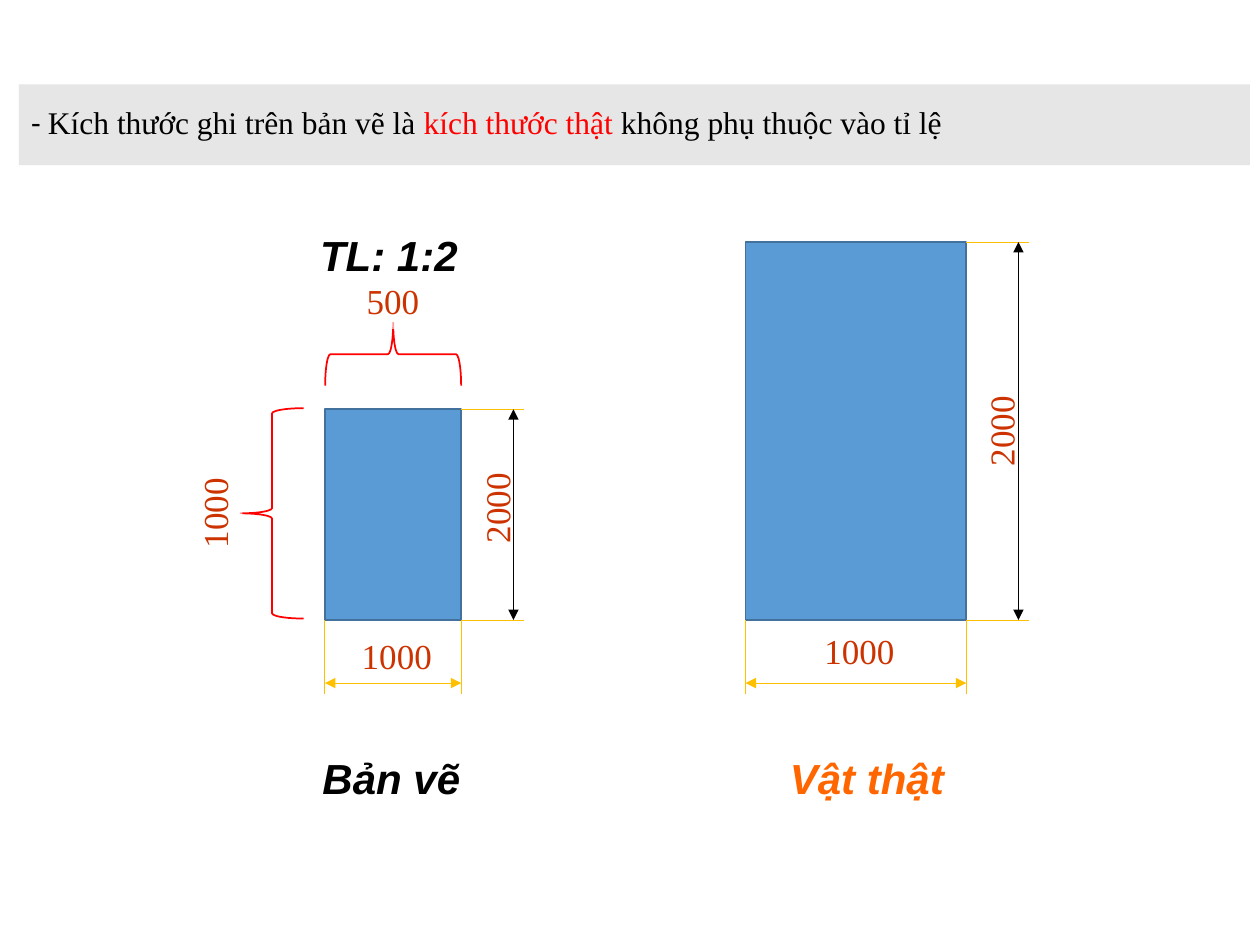
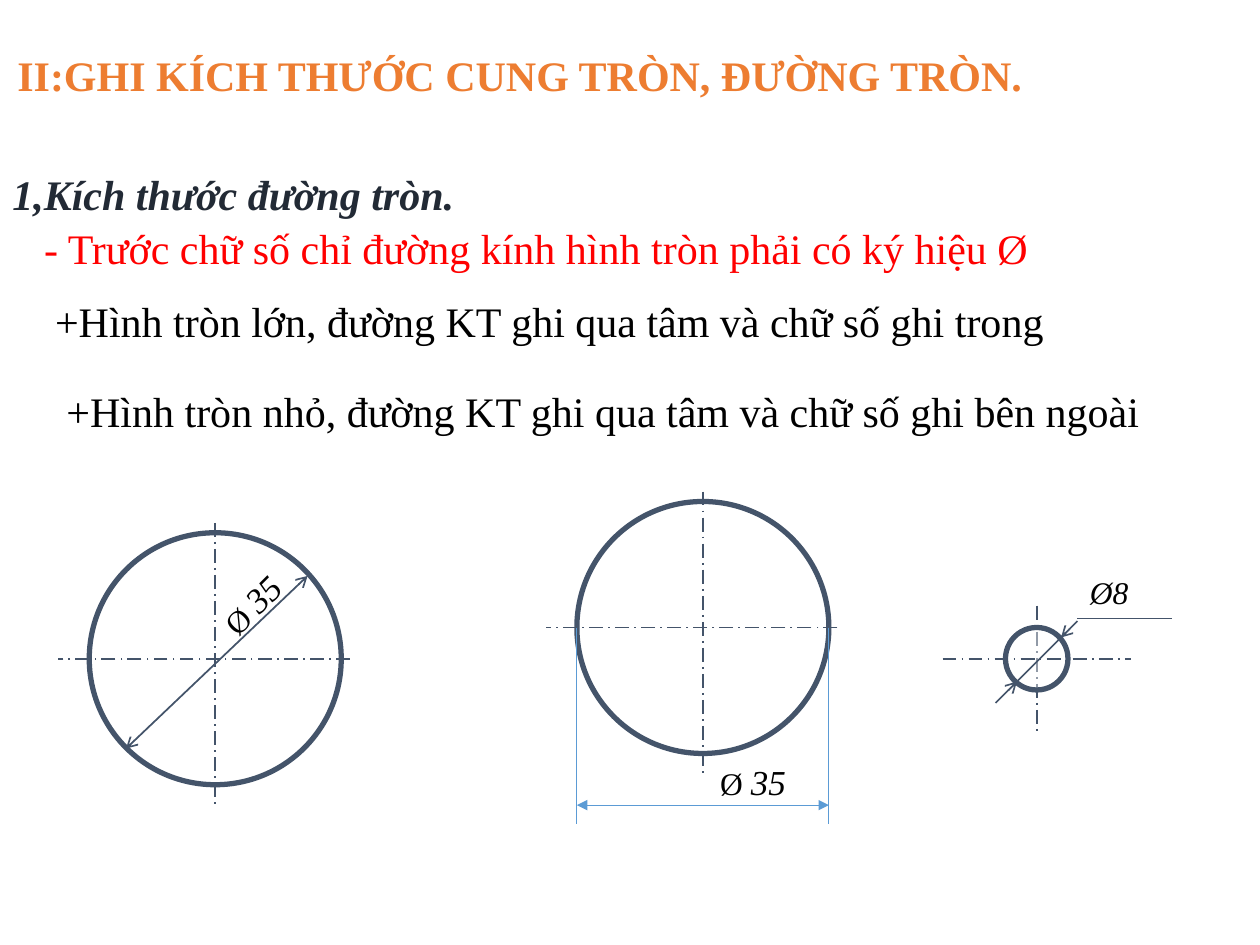
"""Two slides on dimensioning: real sizes against scale, and circle diameters."""
from lxml.etree import SubElement
from pptx import Presentation
from pptx.dml.color import RGBColor
from pptx.enum.dml import MSO_LINE as Dash
from pptx.enum.shapes import MSO_CONNECTOR as Connector, MSO_SHAPE as Preset
from pptx.enum.text import MSO_ANCHOR as Anchor, PP_ALIGN as Align
from pptx.oxml.ns import qn
from pptx.util import Cm, Pt

SERIF, SANS = "Times New Roman", "Arial"
BLACK, WHITE, RED, BAND = "000000", "FFFFFF", "FF0000", "E7E6E6"
STEEL, STEEL_EDGE, GOLD, RUST = "5B9BD5", "41719C", "FFC000", "CC3300"
SLATE, NAVY, ORANGE, AMBER = "44546A", "222A35", "ED7D31", "FF6600"

RULE = [
    ("- ", {"font": "Calibri"}),
    ("Kích thước ghi trên bản vẽ là ", {}),
    ("kích thước thật ", {"color": RED}),
    ("không phụ thuộc vào tỉ lệ", {}),
]
RECTANGLES = [(6.55, 8.25, 2.75, 4.25), (15.03, 4.88, 4.45, 7.62)]
SIZES = [
    ("1000", (6.91, 12.67, 2.18, 1.12), 0),
    ("2000", (9.04, 9.68, 1.96, 1.12), 270),
    ("2000", (19.13, 8.13, 2.11, 1.12), 270),
    ("1000", (16.31, 12.57, 2.03, 1.12), 0),
    ("500", (6.83, 5.51, 2.18, 1.12), 0),
    ("1000", (3.35, 9.78, 1.96, 1.12), 270),
]
BRACES = [((7.29, 5.77, 1.27, 2.74), 90), ((4.85, 8.23, 1.27, 4.24), 0)]
CAPTIONS = [
    ("Vật thật", (15.67, 15.04, 3.61, 1.27), AMBER),
    ("Bản vẽ", (6.25, 15.04, 3.28, 1.27), BLACK),
    ("TL: 1:2", (5.77, 4.5, 4.14, 1.27), BLACK),
]

HEADING = "II:GHI KÍCH THƯỚC CUNG TRÒN, ĐƯỜNG TRÒN."
STATEMENTS = [
    ("1,Kích thước đường tròn.", (0, 3.28, 22.78, 1.27),
     {"color": NAVY, "bold": True, "italic": True}),
    ("- Trước chữ số chỉ đường kính hình tròn phải có ký hiệu Ø",
     (0.64, 4.37, 23.5, 1.27), {"color": RED}),
    ("+Hình tròn lớn, đường KT ghi qua tâm và chữ số ghi trong",
     (0.86, 5.84, 22.02, 1.27), {}),
    ("+Hình tròn nhỏ, đường KT ghi qua tâm và chữ số ghi bên ngoài",
     (1.09, 7.65, 23.09, 1.27), {}),
]
BIG_RADIUS, SMALL_RADIUS = 2.54, 0.63
INSIDE, OUTSIDE, SMALL = (4.34, 13.28), (14.17, 12.65), (20.9, 13.28)
DIAMETER = [("Ø ", {"size": 18}), ("35", {"size": 20, "italic": True})]
DIAMETER_BOXES = [((4.06, 11.38, 2.54, 1.12), 315), ((14.27, 15.21, 2.54, 1.12), 0)]
SMALL_LEADER = [
    ((20.5, 13.74), (21.49, 12.75), {}),
    ((21.39, 12.85), (21.72, 12.52), {"head": "arrow"}),
    ((20.07, 14.17), (20.5, 13.74), {"tail": "arrow"}),
    ((21.72, 12.47), (23.62, 12.47), {}),
]


def rgb(color):
    return RGBColor.from_string(color)


def add_text(shape, text, size=24, font=SERIF, color=BLACK, bold=False, italic=False,
             align=Align.LEFT, anchor=Anchor.TOP, wrap=True, spacing=1.0):
    frame = shape.text_frame
    frame.word_wrap, frame.vertical_anchor = wrap, anchor
    paragraph = frame.paragraphs[0]
    paragraph.alignment, paragraph.line_spacing = align, spacing
    base = {"size": size, "font": font, "color": color, "bold": bold, "italic": italic}
    for words, changes in [(text, {})] if isinstance(text, str) else text:
        look = {**base, **changes}
        run = paragraph.add_run()
        run.text = words
        run.font.size, run.font.name = Pt(look["size"]), look["font"]
        run.font.bold, run.font.italic = look["bold"], look["italic"]
        run.font.color.rgb = rgb(look["color"])


def add_box(slide, box, text, rotation=0, **look):
    shape = slide.shapes.add_textbox(*map(Cm, box))
    shape.rotation = rotation
    add_text(shape, text, **look)


def add_preset(slide, preset, box, fill=None, opacity=100, line=None, width=1, rotation=0):
    shape = slide.shapes.add_shape(preset, *map(Cm, box))
    shape.shadow.inherit = False
    shape.rotation = rotation
    if fill:
        shape.fill.solid()
        shape.fill.fore_color.rgb = rgb(fill)
        if opacity < 100:
            fill_color = shape._element.spPr.find(qn("a:solidFill"))[0]
            SubElement(fill_color, qn("a:alpha"), val=str(opacity * 1000))
    else:
        shape.fill.background()
    if line:
        shape.line.color.rgb, shape.line.width = rgb(line), Pt(width)
    else:
        shape.line.fill.background()
    return shape


def add_line(slide, start, end, color=SLATE, width=1, dash=None, head=None, tail=None):
    connector = slide.shapes.add_connector(Connector.STRAIGHT, *map(Cm, (*start, *end)))
    connector.line.color.rgb, connector.line.width = rgb(color), Pt(width)
    if dash:
        connector.line.dash_style = dash
    properties = connector._element.spPr
    for tag, kind in (("a:headEnd", head), ("a:tailEnd", tail)):
        if kind:
            SubElement(properties.find(qn("a:ln")), qn(tag), type=kind)
    SubElement(properties, qn("a:effectLst"))


def add_dimension(slide, start, end, color):
    add_line(slide, start, end, color, 0.5, head="triangle", tail="triangle")


def add_rectangle_dimensions(slide, left, top, width, height):
    right, bottom = left + width, top + height
    for y in (top, bottom):
        add_line(slide, (right, y), (right + 1.27, y), GOLD, 0.5)
    for x in (left, right):
        add_line(slide, (x, bottom), (x, bottom + 1.49), GOLD, 0.5)
    add_dimension(slide, (right + 1.05, top), (right + 1.05, bottom), BLACK)
    add_dimension(slide, (left, bottom + 1.27), (right, bottom + 1.27), GOLD)


def add_circle(slide, center, radius, opacity):
    x, y = center
    add_preset(slide, Preset.OVAL, (x - radius, y - radius, 2 * radius, 2 * radius),
               WHITE, opacity, SLATE, 3)


def add_axis(slide, start, end):
    add_line(slide, start, end, dash=Dash.LONG_DASH_DOT)


def build_scale_slide(slide):
    band = add_preset(slide, Preset.RECTANGLE, (0.38, 1.7, 24.82, 1.63), BAND)
    add_text(band, RULE, size=18, anchor=Anchor.MIDDLE, spacing=0.9)
    for box in RECTANGLES:
        add_preset(slide, Preset.RECTANGLE, box, STEEL, line=STEEL_EDGE)
    for box, rotation in BRACES:
        add_preset(slide, Preset.LEFT_BRACE, box, line=RED, rotation=rotation)
    for text, box, rotation in SIZES:
        label = add_preset(slide, Preset.RECTANGLE, box, WHITE, 60, rotation=rotation)
        add_text(label, text, size=20, color=RUST, align=Align.CENTER)
    for box in RECTANGLES:
        add_rectangle_dimensions(slide, *box)
    for text, box, color in CAPTIONS:
        add_box(slide, box, text, font=SANS, color=color, bold=True, italic=True,
                align=Align.CENTER, wrap=False)


def build_circle_slide(slide):
    add_box(slide, (0.1, 0, 21.59, 3.02), HEADING, color=ORANGE, bold=True,
            anchor=Anchor.MIDDLE)
    for text, box, look in STATEMENTS:
        add_box(slide, box, text, **look)

    for x, y in (INSIDE, OUTSIDE):
        add_circle(slide, (x, y), BIG_RADIUS, 38)
        add_axis(slide, (x, y - 2.74), (x, y + 3.03))
        add_axis(slide, (x + 2.71, y), (x - 3.17, y))
    add_line(slide, (2.54, 15.09), (6.2, 11.61), head="arrow", tail="arrow")

    x, y = OUTSIDE
    left, right = x - BIG_RADIUS, x + BIG_RADIUS
    for edge in (left, right):
        add_line(slide, (edge, y), (edge, 16.61), STEEL, 0.5)
    add_dimension(slide, (left, 16.23), (right, 16.23), STEEL)
    for box, rotation in DIAMETER_BOXES:
        add_box(slide, box, DIAMETER, rotation)

    x, y = SMALL
    add_axis(slide, (x, y - 1.07), (x, y + 1.47))
    add_circle(slide, SMALL, SMALL_RADIUS, 41)
    add_axis(slide, (x - 1.9, y), (x + 1.9, y))
    for start, end, arrows in SMALL_LEADER:
        add_line(slide, start, end, **arrows)
    add_box(slide, (21.72, 11.43, 2.34, 1.02), "Ø8", size=18, italic=True)


def main():
    presentation = Presentation()
    presentation.slide_width, presentation.slide_height = Cm(25.4), Cm(19.05)
    for build in (build_scale_slide, build_circle_slide):
        build(presentation.slides.add_slide(presentation.slide_layouts[6]))
    presentation.save("out.pptx")


if __name__ == "__main__":
    main()
